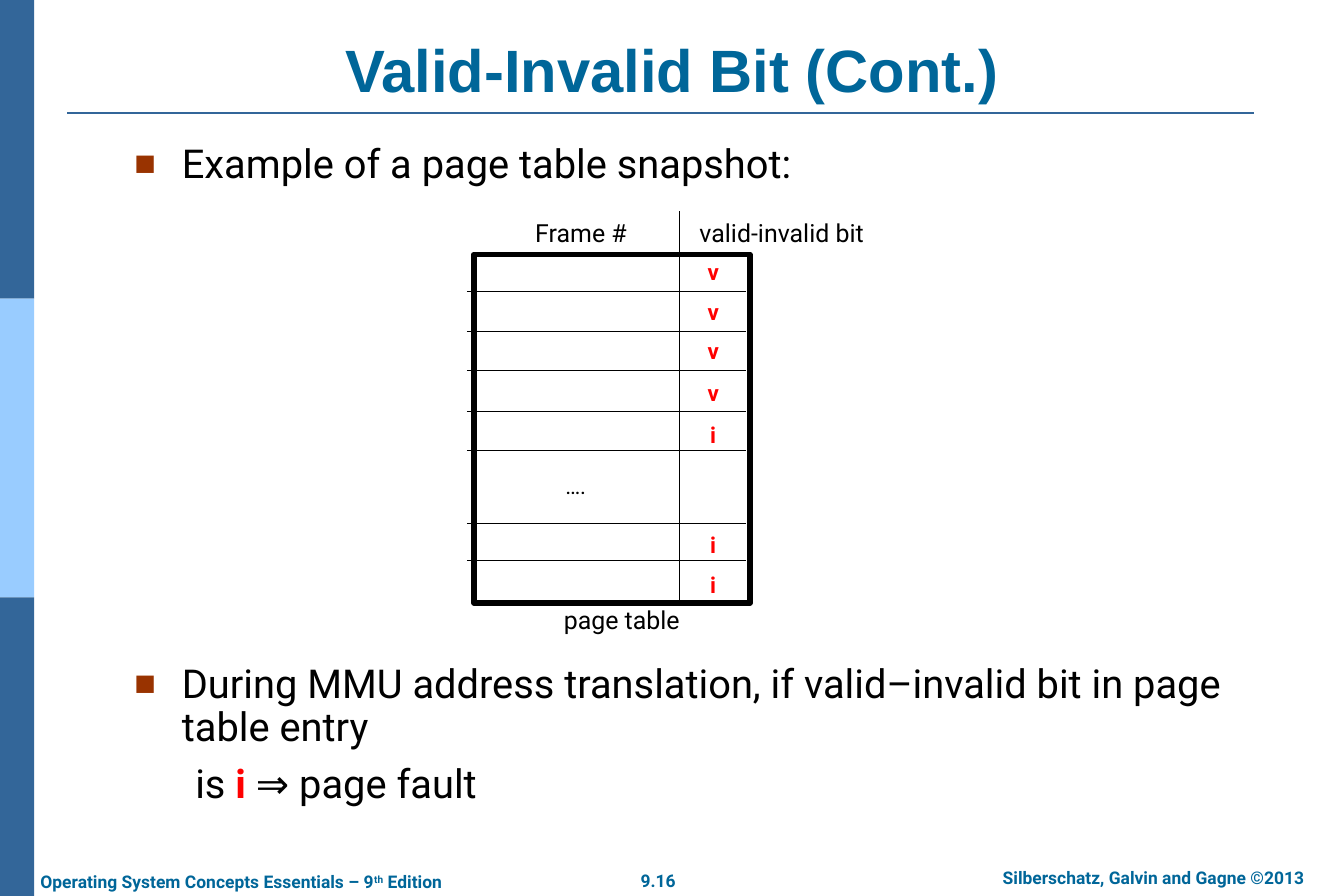
"""Build the Valid-Invalid Bit slide with its page table snapshot."""
from lxml.etree import SubElement
from pptx import Presentation
from pptx.dml.color import RGBColor
from pptx.enum.shapes import MSO_CONNECTOR as Conn, MSO_SHAPE as Shape
from pptx.enum.text import MSO_ANCHOR as Anchor, PP_ALIGN as Align
from pptx.oxml.ns import qn
from pptx.util import Inches, Pt

BLACK = RGBColor(0, 0, 0)
WHITE = RGBColor(255, 255, 255)
RED = RGBColor(255, 0, 0)
TEAL = RGBColor(0, 102, 153)
BLUE = RGBColor(51, 102, 153)
SKY = RGBColor(153, 204, 255)

BANDS = [BLUE, SKY, BLUE]
TITLE = "Valid-Invalid Bit (Cont.)"
BODY = [
    (1.54, ["Example of a page table snapshot:"]),
    (7.34, ["During MMU address translation, if valid–invalid bit in page table entry",
            [("is ", {}), ("i", {"color": RED, "bold": True}), (" ⇒ page fault", {})]]),
]
EDITION = [("Operating System Concepts Essentials – 9", {}), ("th", {"raised": True}),
           (" Edition", {})]
FOOT = [
    (EDITION, (0.31, 9.65, 5.11, 0.38), Align.LEFT),
    ("9.16", (7, 9.64, 0.69, 0.38), Align.CENTER),
    ("Silberschatz, Galvin and Gagne ©2013", (10.65, 9.61, 4.45, 0.38), Align.CENTER),
]
FRAME = (5.29, 2.84, 3.08, 3.89)
RULES = [3.25, 3.7, 4.14, 4.59, 5.03, 5.84, 6.25]
BITS = [("v", 2.81), ("v", 3.25), ("v", 3.69), ("v", 4.16), ("i", 4.63), ("i", 5.85), ("i", 6.3)]
LABELS = [
    ("….", (6.12, 5.19, 0.61, 0.45), 18),
    ("Frame #", (5.82, 2.35, 1.33, 0.48), 20),
    ("valid-invalid bit", (7.66, 2.35, 2.13, 0.48), 20),
    ("page table", (6.14, 6.68, 1.6, 0.48), 20),
]


def add_text(slide, paras, box, size=18, font="Roboto", color=BLACK, bold=False,
             align=Align.CENTER, anchor=Anchor.MIDDLE, wrap=False, lead=None, gap=0):
    frame = slide.shapes.add_textbox(*map(Inches, box)).text_frame
    frame.word_wrap, frame.vertical_anchor = wrap, anchor
    frame.margin_left = frame.margin_right = Inches(0.14)
    frame.margin_top = frame.margin_bottom = Inches(0.07)
    for n, runs in enumerate(paras):
        para = frame.add_paragraph() if n else frame.paragraphs[0]
        para.alignment, para.line_spacing = align, lead
        para.space_before = Pt(gap if n else 0)
        for words, style in [(runs, {})] if isinstance(runs, str) else runs:
            run = para.add_run()
            run.text = words
            face = run.font
            face.name, face.size = font, Pt(size)
            face.bold = style.get("bold", bold)
            face.color.rgb = style.get("color", color)
            if style.get("raised"):
                run._r.get_or_add_rPr().set("baseline", "30000")
    return frame


def add_rect(slide, box, fill, line=None, width=0):
    rect = slide.shapes.add_shape(Shape.RECTANGLE, *map(Inches, box))
    rect.shadow.inherit = False
    rect.fill.solid()
    rect.fill.fore_color.rgb = fill
    if line is None:
        rect.line.fill.background()
    else:
        rect.line.color.rgb, rect.line.width = line, Pt(width)


def add_line(slide, ends, color=BLACK, width=0.75):
    line = slide.shapes.add_connector(Conn.STRAIGHT, *map(Inches, ends))
    line.line.color.rgb, line.line.width = color, Pt(width)
    SubElement(line._element.spPr, qn("a:effectLst"))


def indent(para, left, bullet=None):
    props = para._p.get_or_add_pPr()
    props.set("marL", str(Inches(left)))
    props.set("indent", str(Inches(-left if bullet else 0)))
    if bullet:
        tint = SubElement(props, qn("a:buClr"))
        SubElement(tint, qn("a:srgbClr"), val="993300")
        SubElement(props, qn("a:buSzPct"), val="90000")
        SubElement(props, qn("a:buFont"), typeface="Arial")
        SubElement(props, qn("a:buChar"), char=bullet)


def add_table_art(slide):
    add_rect(slide, FRAME, WHITE, BLACK, 4.5)
    for y in RULES:
        add_line(slide, (5.21, y, 8.33, y))
    add_line(slide, (7.58, 2.36, 7.58, 6.7))
    for bit, top in BITS:
        add_text(slide, [bit], (7.74, top, 0.44, 0.45), color=RED, bold=True)
    for label, box, size in LABELS:
        add_text(slide, [label], box, size=size)


def main():
    deck = Presentation()
    deck.slide_width, deck.slide_height = Inches(15), Inches(10)
    slide = deck.slides.add_slide(deck.slide_layouts[6])

    tall = 10 / len(BANDS)
    for n, color in enumerate(BANDS):
        add_rect(slide, (0, n * tall, 0.38, tall), color)
    add_line(slide, (0.75, 1.26, 14, 1.26), BLUE, 1.5)
    for words, box, align in FOOT:
        add_text(slide, [words], box, size=14, color=TEAL, bold=True, align=align,
                 anchor=Anchor.TOP)
    add_text(slide, [TITLE], (0.75, 0.4, 13.5, 0.84), size=48, font="Arial", color=TEAL,
             bold=True, anchor=Anchor.BOTTOM, wrap=True)

    for top, paras in BODY:
        frame = add_text(slide, paras, (1.36, top, 12.76, 0.6 * len(paras) + 0.1), size=32,
                         align=Align.LEFT, anchor=Anchor.TOP, wrap=True, lead=0.9, gap=11)
        for n, para in enumerate(frame.paragraphs):
            indent(para, 0.68 if n else 0.53, None if n else "■")
    add_table_art(slide)
    deck.save("out.pptx")


if __name__ == "__main__":
    main()
